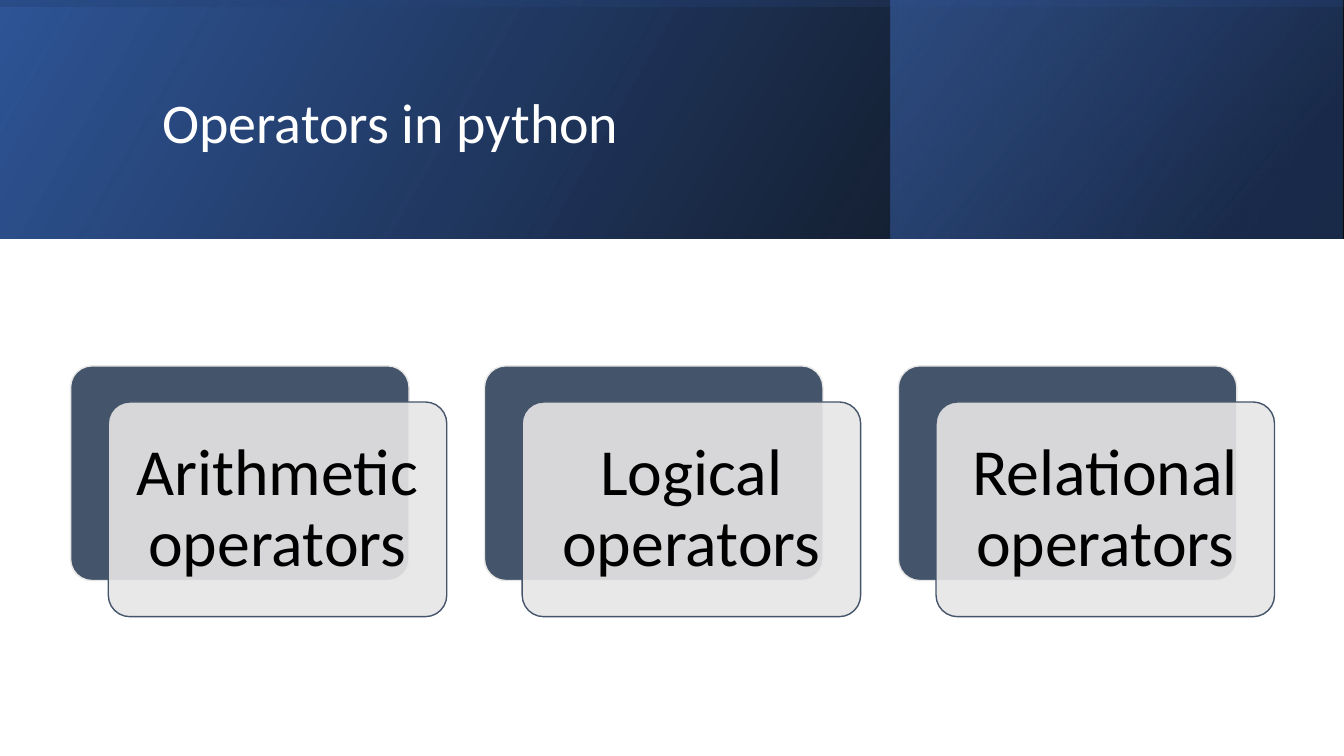
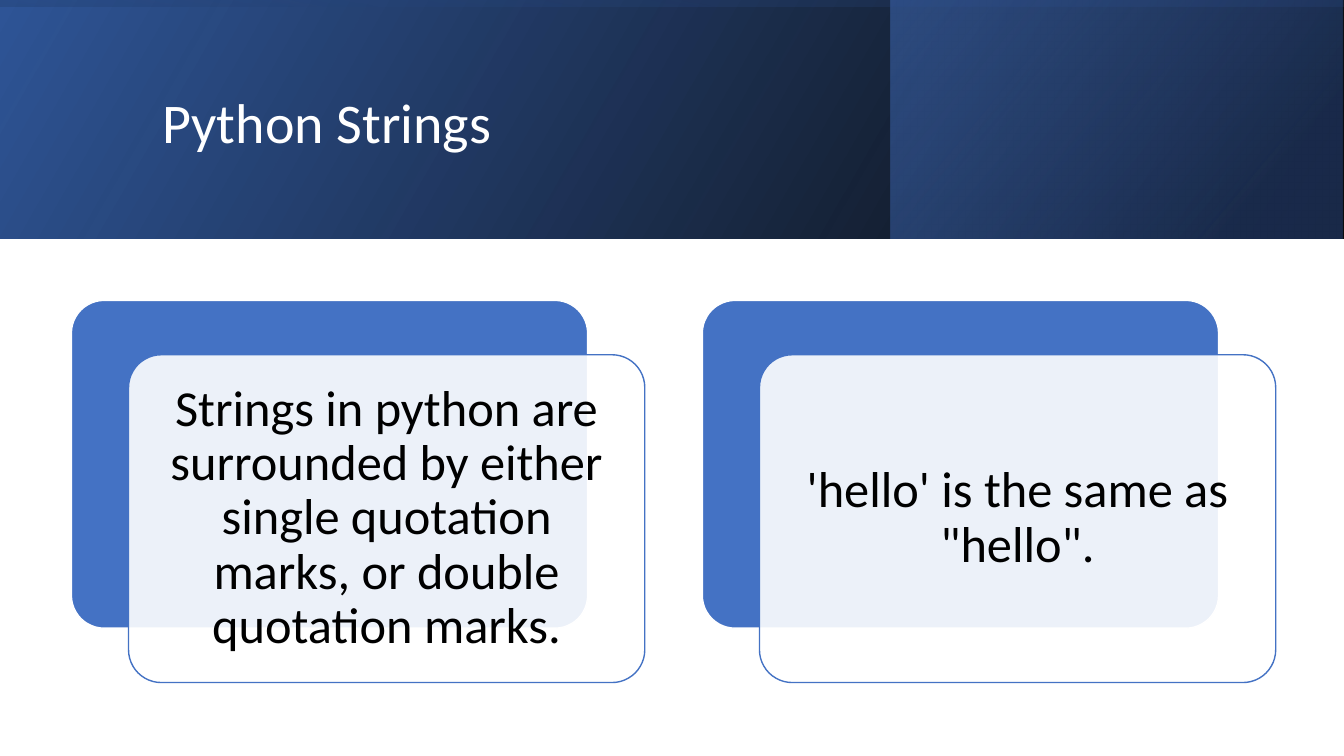
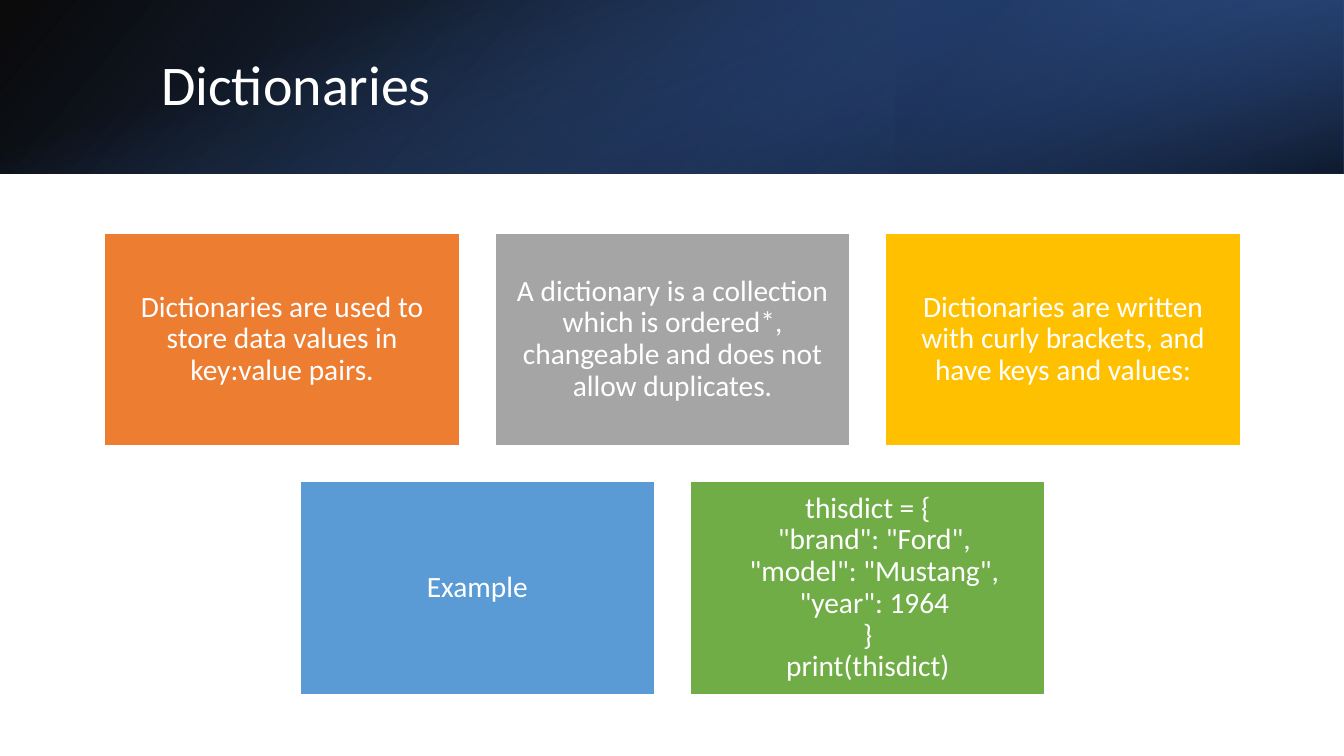
from lxml.etree import SubElement
from pptx import Presentation
from pptx.dml.color import RGBColor
from pptx.enum.shapes import MSO_SHAPE as Kind
from pptx.enum.text import MSO_ANCHOR as Anchor, PP_ALIGN as Align
from pptx.oxml.ns import qn
from pptx.util import Cm, Pt

WHITE = RGBColor(0xFF, 0xFF, 0xFF)
BLACK = RGBColor(0x00, 0x00, 0x00)
NAVY = RGBColor(0x20, 0x38, 0x64)
DEEP = RGBColor(0x2F, 0x55, 0x97)
BLUE = RGBColor(0x44, 0x72, 0xC4)
SLATE = RGBColor(0x44, 0x54, 0x6A)
PALE = RGBColor(0xE7, 0xE6, 0xE6)
ORANGE = RGBColor(0xED, 0x7D, 0x31)
GRAY = RGBColor(0xA5, 0xA5, 0xA5)
GOLD = RGBColor(0xFF, 0xC0, 0x00)
SKY = RGBColor(0x5B, 0x9B, 0xD5)
GREEN = RGBColor(0x70, 0xAD, 0x47)
FONT = "Calibri"
WIDE, HIGH = 33.87, 19.05


def write(shape, text, size, color, align, inset):
    frame = shape.text_frame
    frame.word_wrap = True
    frame.vertical_anchor = Anchor.MIDDLE
    frame.margin_left = frame.margin_right = Cm(inset)
    frame.margin_top = frame.margin_bottom = Cm(inset)
    para = frame.paragraphs[0]
    para.alignment = align
    para.line_spacing = 0.9
    for row, line in enumerate(text.split("\n")):
        if row:
            para.add_line_break()
        run = para.add_run()
        run.text = line
        run.font.name = FONT
        run.font.size = Pt(size)
        run.font.color.rgb = color


def draw(slide, kind, box, fill, edge, alpha=100):
    shape = slide.shapes.add_shape(kind, *[Cm(part) for part in box])
    shape.shadow.inherit = False
    shape.fill.solid()
    shape.fill.fore_color.rgb = fill
    if alpha < 100:
        tint = shape.fill._xPr.find(".//" + qn("a:srgbClr"))
        SubElement(tint, qn("a:alpha"), val=str(alpha * 1000))
    if edge is None:
        shape.line.fill.background()
    else:
        shape.line.color.rgb = edge
        shape.line.width = Pt(1)
    return shape


deck = Presentation()
deck.slide_width, deck.slide_height = Cm(WIDE), Cm(HIGH)

TALL, LOW = 6.02, 4.37
tall_bands = [
    ((0, 0, WIDE, TALL), 0, True, 330, [(0, BLACK, 96), (100, DEEP, 100)]),
    ((22.45, 0, 11.38, TALL), 0, True, 320, [(19, NAVY, 68), (100, BLUE, 48)]),
    (((WIDE - TALL) / 2, (TALL - WIDE) / 2, TALL, WIDE), 270, True, 350,
     [(23, DEEP, 16), (99, BLACK, 45)]),
]
low_bands = [
    ((0, 0, WIDE, LOW), 0, True, 140, [(0, BLACK, 96), (100, DEEP, 100)]),
    ((22.58, 0, 11.28, LOW), 180, True, 320, [(19, NAVY, 68), (100, BLUE, 79)]),
    (((WIDE - LOW) / 2, (LOW - WIDE) / 2, LOW, WIDE), 90, False, 340,
     [(23, BLUE, 0), (99, BLACK, 74)]),
]
tall_title = (3.84, 0.97, 27, 4.37)
low_title = (3.81, 0.97, 27.89, 2.44)

slides = []
for name, bands, place in [
    ("Operators in python", tall_bands, tall_title),
    ("Python Strings", tall_bands, tall_title),
    ("Dictionaries", low_bands, low_title),
]:
    slide = deck.slides.add_slide(deck.slide_layouts[5])
    slides.append(slide)
    for box, turn, flip, angle, stops in bands:
        band = draw(slide, Kind.RECTANGLE, box, DEEP, None)
        band.rotation = turn
        if flip:
            band._element.spPr.xfrm.set("flipH", "1")
        band.fill.gradient()
        band.fill.gradient_angle = 360 - angle
        for stop, (spot, color, alpha) in zip(band.fill.gradient_stops, stops):
            stop.position = spot / 100
            stop.color.rgb = color
        tints = band.fill._xPr.findall(".//" + qn("a:srgbClr"))
        for tint, (spot, color, alpha) in zip(tints, stops):
            SubElement(tint, qn("a:alpha"), val=str(alpha * 1000))
    title = slide.shapes.title
    title.left, title.top, title.width, title.height = [Cm(part) for part in place]
    write(title, name, 40, WHITE, Align.LEFT, 0.25)
    slide.shapes._spTree.append(title._element)

kinds = ["Arithmetic operators", "Logical operators", "Relational operators"]
quotes = [
    "Strings in python are surrounded by either single quotation marks, "
    "or double quotation marks.",
    "'hello' is the same as \"hello\".",
]
for slide, texts, box, pitch, shift, fills, edges, size, inset in [
    (slides[0], kinds, (1.78, 9.22, 8.53, 5.41), 10.43, (0.95, 0.91),
     (SLATE, PALE), (PALE, SLATE), 47, 0.5),
    (slides[1], quotes, (1.8, 7.57, 13.01, 8.26), 15.9, (1.44, 1.37),
     (BLUE, WHITE), (WHITE, BLUE), 36, 0.38),
]:
    left, top, width, height = box
    for col, text in enumerate(texts):
        for step, alpha in enumerate((100, 90)):
            spot = (left + col * pitch + step * shift[0],
                    top + step * shift[1], width, height)
            card = draw(slide, Kind.ROUNDED_RECTANGLE, spot,
                        fills[step], edges[step], alpha)
            card.adjustments[0] = 0.1
        write(card, text, size, BLACK, Align.CENTER, inset)

code = """thisdict = {
  "brand": "Ford",
  "model": "Mustang",
  "year": 1964
}
print(thisdict)"""
facts = [
    [("Dictionaries are used to store data values in key:value pairs.", ORANGE),
     ("A dictionary is a collection which is ordered*, changeable and "
      "does not allow duplicates.", GRAY),
     ("Dictionaries are written with curly brackets, and have keys and values:",
      GOLD)],
    [("Example", SKY), (code, GREEN)],
]
for row, cells in enumerate(facts):
    for col, (text, color) in enumerate(cells):
        spot = (2.64 + (col + row / 2) * 9.84, 5.87 + row * 6.27, 8.94, 5.36)
        tile = draw(slides[2], Kind.RECTANGLE, spot, color, WHITE)
        write(tile, text, 21, WHITE, Align.CENTER, 0.23)

deck.save("out.pptx")
